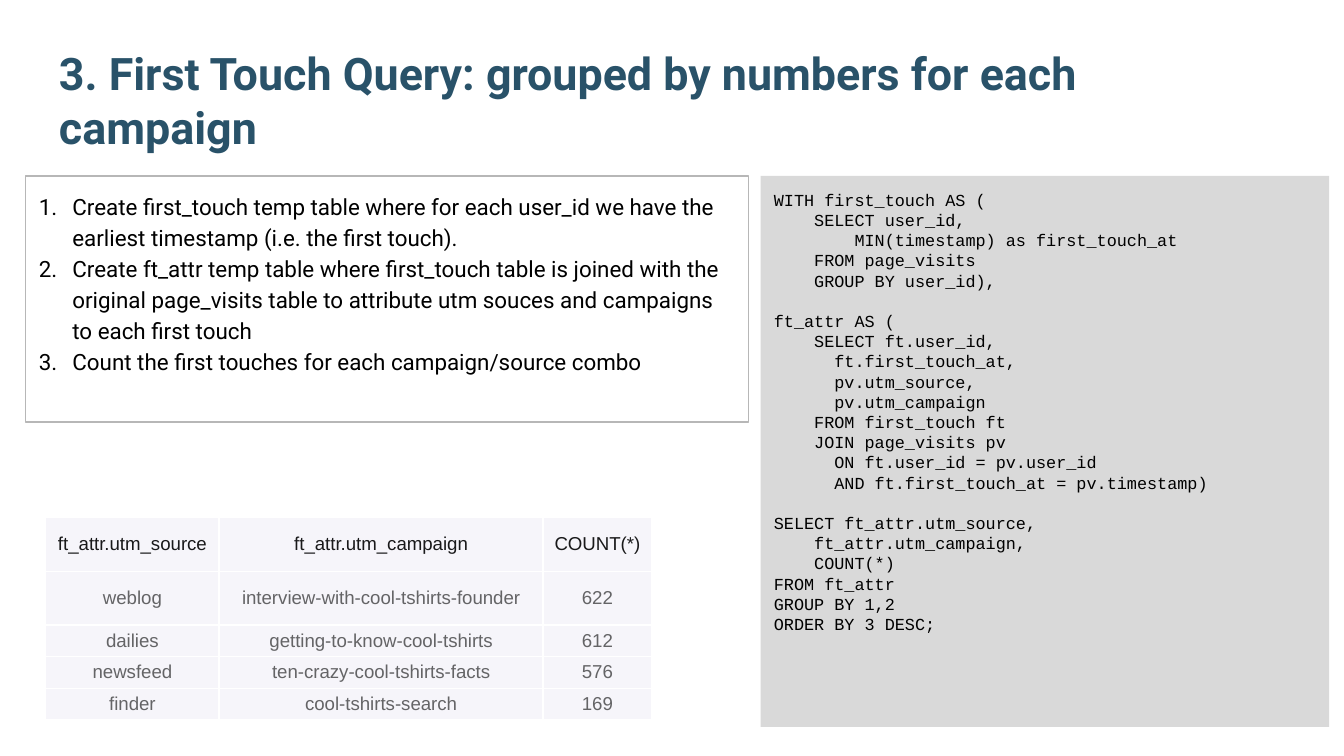
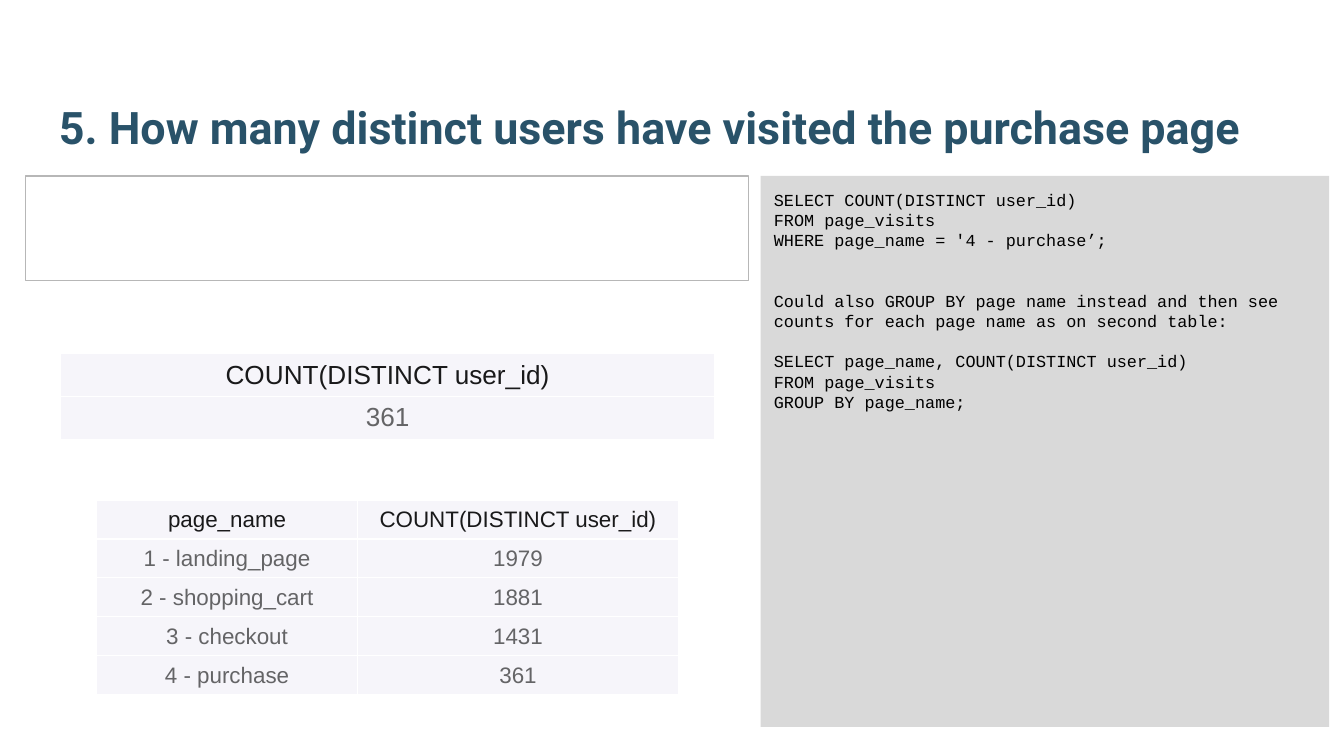
"""Build two slides on SQL attribution queries, with code panels and result tables."""
import lxml.etree
import pptx
import pptx.dml.color
import pptx.enum.shapes
import pptx.enum.text
import pptx.oxml.ns
import pptx.util

Inches = pptx.util.Inches
Pt = pptx.util.Pt
rgb = pptx.dml.color.RGBColor.from_string
qn = pptx.oxml.ns.qn

TITLE, BLACK, PANEL, OUTLINE = "295269", "000000", "D9D9D9", "B7B7B7"
CELL, HEADER, BODY, WHITE = "F6F5FA", "19191A", "646466", "FFFFFF"
CODE_SIZE = 9
CODE_LINE = 10.8

first_touch_query = """WITH first_touch AS (
    SELECT user_id,
        MIN(timestamp) as first_touch_at
    FROM page_visits
    GROUP BY user_id),

ft_attr AS (
    SELECT ft.user_id,
      ft.first_touch_at,
      pv.utm_source,
      pv.utm_campaign
    FROM first_touch ft
    JOIN page_visits pv
      ON ft.user_id = pv.user_id
      AND ft.first_touch_at = pv.timestamp)

SELECT ft_attr.utm_source,
    ft_attr.utm_campaign,
    COUNT(*)
FROM ft_attr
GROUP BY 1,2
ORDER BY 3 DESC;"""

purchase_query = """SELECT COUNT(DISTINCT user_id)
FROM page_visits
WHERE page_name = '4 - purchase’;


Could also GROUP BY page name instead and then see counts for each page name as on second table:

SELECT page_name, COUNT(DISTINCT user_id)
FROM page_visits
GROUP BY page_name;"""

slides = [
    {
        "title": "3. First Touch Query: grouped by numbers for each campaign",
        "code": first_touch_query,
        "steps_height": 1.83,
        "steps": [
            "Create first_touch temp table where for each user_id we have the "
            "earliest timestamp (i.e. the first touch).",
            "Create ft_attr temp table where first_touch table is joined with the "
            "original page_visits table to attribute utm souces and campaigns "
            "to each first touch",
            "Count the first touches for each campaign/source combo",
        ],
        "tables": [
            {
                "left": 0.34, "top": 3.85, "size": 10, "margins": (0.07, 0.04),
                "widths": [1.29, 2.41, 0.81], "heights": [0.4, 0.4, 0.23, 0.23, 0.23],
                "rows": [
                    ["ft_attr.utm_source", "ft_attr.utm_campaign", "COUNT(*)"],
                    ["weblog", "interview-with-cool-tshirts-founder", "622"],
                    ["dailies", "getting-to-know-cool-tshirts", "612"],
                    ["newsfeed", "ten-crazy-cool-tshirts-facts", "576"],
                    ["finder", "cool-tshirts-search", "169"],
                ],
            },
        ],
    },
    {
        "title": "5. How many distinct users have visited the purchase page",
        "code": purchase_query,
        "steps_height": 0.78,
        "steps": [],
        "tables": [
            {
                "left": 0.45, "top": 2.63, "size": 14, "margins": (0.1, 0.05),
                "widths": [4.87], "heights": [0.32] * 2,
                "rows": [["COUNT(DISTINCT user_id)"], ["361"]],
            },
            {
                "left": 0.72, "top": 3.72, "size": 12, "margins": (0.09, 0.04),
                "widths": [1.94, 2.39], "heights": [0.29] * 5,
                "rows": [
                    ["page_name", "COUNT(DISTINCT user_id)"],
                    ["1 - landing_page", "1979"],
                    ["2 - shopping_cart", "1881"],
                    ["3 - checkout", "1431"],
                    ["4 - purchase", "361"],
                ],
            },
        ],
    },
]


def add_span(para, text, size, font, color, bold=False):
    span = para.add_run()
    span.text = text
    span.font.size = Pt(size)
    span.font.name = font
    span.font.bold = bold
    span.font.color.rgb = rgb(color)


def add_box(page, left, top, width, height, anchor):
    box = page.shapes.add_shape(
        pptx.enum.shapes.MSO_SHAPE.RECTANGLE,
        Inches(left), Inches(top), Inches(width), Inches(height))
    box.shadow.inherit = False
    box.fill.background()
    box.line.fill.background()
    frame = box.text_frame
    frame.word_wrap = True
    frame.vertical_anchor = anchor
    frame.margin_left = frame.margin_right = Inches(0.1)
    frame.margin_top = frame.margin_bottom = Inches(0.1)
    frame.paragraphs[0].alignment = pptx.enum.text.PP_ALIGN.LEFT
    return box


deck = pptx.Presentation()
deck.slide_width = Inches(10)
deck.slide_height = deck.slide_width * 9 // 16
top_anchor = pptx.enum.text.MSO_ANCHOR.TOP
middle_anchor = pptx.enum.text.MSO_ANCHOR.MIDDLE
bottom_anchor = pptx.enum.text.MSO_ANCHOR.BOTTOM

for content in slides:
    page = deck.slides.add_slide(deck.slide_layouts[6])
    page.background.fill.solid()
    page.background.fill.fore_color.rgb = rgb(WHITE)

    title = add_box(page, 0.34, 0.32, 9.32, 0.92, bottom_anchor)
    add_span(title.text_frame.paragraphs[0], content["title"], 24, "Roboto", TITLE, True)

    panel = add_box(page, 5.66, 1.31, 4.23, 4.1, top_anchor)
    panel.fill.solid()
    panel.fill.fore_color.rgb = rgb(PANEL)
    blank_lines = 0
    for number, line in enumerate(content["code"].splitlines()):
        if not line:
            blank_lines += 1
            continue
        frame = panel.text_frame
        para = frame.add_paragraph() if number else frame.paragraphs[0]
        para.alignment = pptx.enum.text.PP_ALIGN.LEFT
        if blank_lines:
            para.space_before = Pt(blank_lines * CODE_LINE)
        blank_lines = 0
        add_span(para, line, CODE_SIZE, "Courier New", BLACK)

    steps = add_box(page, 0.19, 1.31, 5.38, content["steps_height"], top_anchor)
    steps.line.color.rgb = rgb(OUTLINE)
    steps.line.width = Pt(0.75)
    for number, step in enumerate(content["steps"]):
        frame = steps.text_frame
        para = frame.add_paragraph() if number else frame.paragraphs[0]
        para.alignment = pptx.enum.text.PP_ALIGN.LEFT
        para.line_spacing = 1.15
        props = para._p.get_or_add_pPr()
        props.set("marL", str(Inches(0.25)))
        props.set("indent", str(-Inches(0.25)))
        bullet_color = lxml.etree.SubElement(props, qn("a:buClr"))
        lxml.etree.SubElement(bullet_color, qn("a:srgbClr"), val=BLACK)
        lxml.etree.SubElement(props, qn("a:buAutoNum"), type="arabicPeriod")
        add_span(para, step, 12, "Roboto", BLACK)

    for result in content["tables"]:
        rows, widths, heights = result["rows"], result["widths"], result["heights"]
        table = page.shapes.add_table(
            len(rows), len(widths), Inches(result["left"]), Inches(result["top"]),
            Inches(sum(widths)), Inches(sum(heights))).table
        table.first_row = table.horz_banding = False
        for column, width in zip(table.columns, widths):
            column.width = Inches(width)
        for row, height in zip(table.rows, heights):
            row.height = Inches(height)
        side, edge = result["margins"]
        for row_number, values in enumerate(rows):
            for column_number, value in enumerate(values):
                cell = table.cell(row_number, column_number)
                cell.margin_left = cell.margin_right = Inches(side)
                cell.margin_top = cell.margin_bottom = Inches(edge)
                cell.vertical_anchor = middle_anchor
                for name in ("a:lnL", "a:lnR", "a:lnT", "a:lnB"):
                    border = lxml.etree.SubElement(
                        cell._tc.get_or_add_tcPr(), qn(name), w=str(Pt(0.75)))
                    paint = lxml.etree.SubElement(border, qn("a:solidFill"))
                    lxml.etree.SubElement(paint, qn("a:srgbClr"), val=WHITE)
                cell.fill.solid()
                cell.fill.fore_color.rgb = rgb(CELL)
                para = cell.text_frame.paragraphs[0]
                para.alignment = pptx.enum.text.PP_ALIGN.CENTER
                color = BODY if row_number else HEADER
                add_span(para, value, result["size"], "Arial", color)

deck.save("out.pptx")
